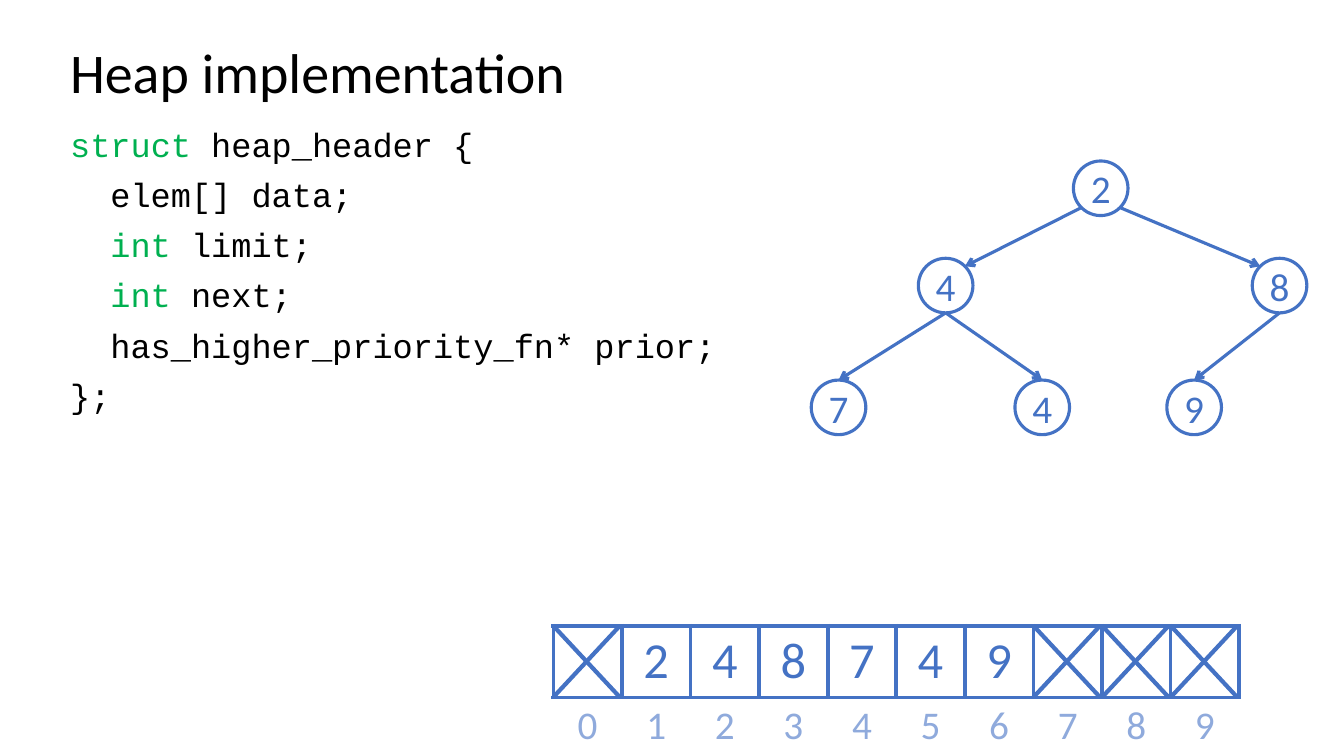
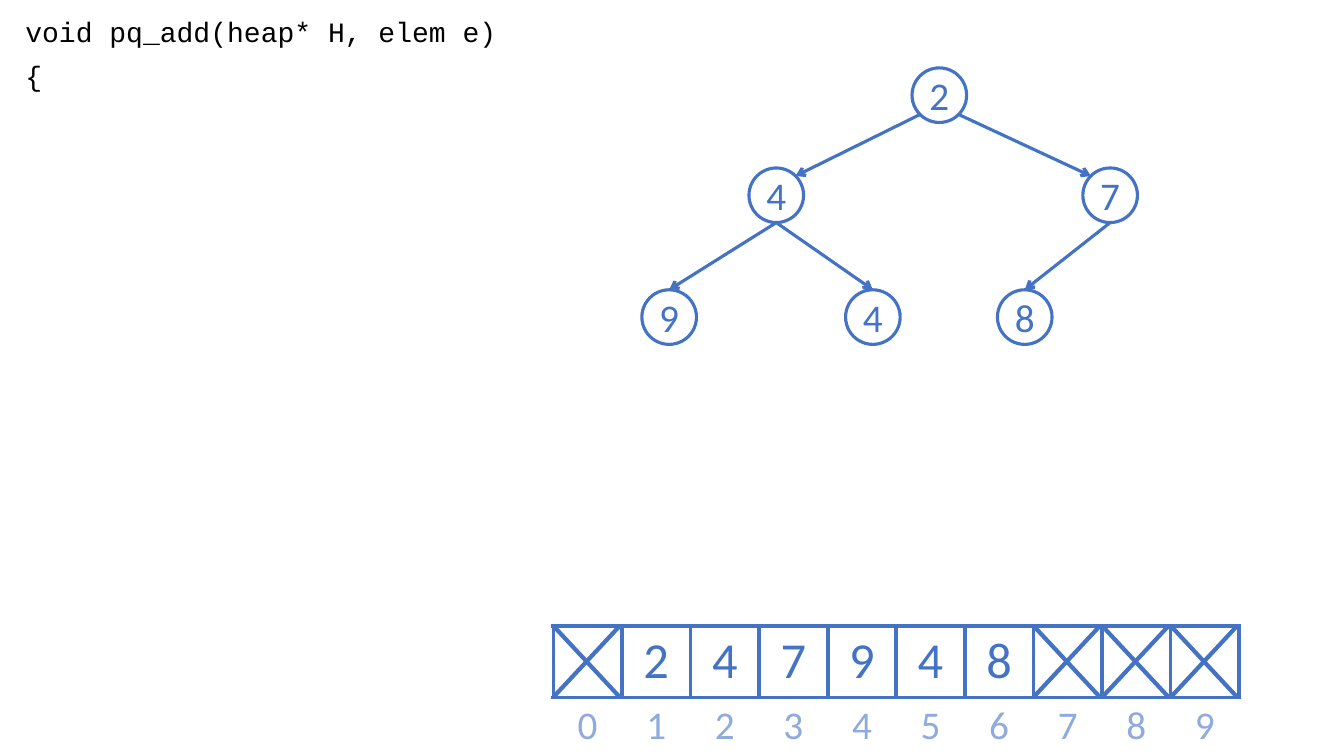
from dataclasses import dataclass
from math import sqrt
from typing import Optional

from lxml.etree import SubElement
from pptx import Presentation
from pptx.dml.color import RGBColor
from pptx.enum.shapes import MSO_CONNECTOR, MSO_SHAPE
from pptx.enum.text import MSO_ANCHOR, PP_ALIGN
from pptx.oxml import parse_xml
from pptx.oxml.ns import nsdecls, qn
from pptx.util import Pt

BLUE = RGBColor(0x44, 0x72, 0xC4)
PALE_BLUE = RGBColor(0x8F, 0xAA, 0xDC)
GREEN = RGBColor(0x00, 0xB0, 0x50)
BLACK = RGBColor(0, 0, 0)
WHITE = RGBColor(0xFF, 0xFF, 0xFF)
SANS, MONO = "Calibri", "Courier New"

KEYWORDS = ("struct", "int")
RADIUS = 19.5
DIAGONAL = RADIUS / sqrt(2)
ARRAY_X, ARRAY_Y = 395.25, 447
CELL_W, CELL_H, INDEX_H = 49, 51, 41
CAPACITY = 10
CROSS_W = CELL_W - 1.5


@dataclass(frozen=True)
class Point:
    x: float
    y: float

    def shift(self, dx: float, dy: float) -> "Point":
        return Point(self.x + dx, self.y + dy)


@dataclass(frozen=True)
class Heap:
    """Values in level order, with the centres of the root and its left child."""
    values: tuple[int, ...]
    root: Point
    left: Point

    def centres(self) -> list[Point]:
        lower = [(238.5, 0), (-76.5, 87), (69, 87), (177.5, 87)]
        return [self.root, self.left] + [self.left.shift(*d) for d in lower]


@dataclass(frozen=True)
class CodeLine:
    text: str
    level: int = 0


def add_run(p, text: str, *, size: float, font: str = SANS,
            color: RGBColor = BLACK) -> None:
    r = p.add_run()
    r.text = text
    r.font.size, r.font.name = Pt(size), font
    r.font.color.rgb = color


def add_box(s, x: float, y: float, w: float, h: float, anchor=MSO_ANCHOR.TOP):
    tf = s.shapes.add_textbox(Pt(x), Pt(y), Pt(w), Pt(h)).text_frame
    tf.word_wrap = True
    tf.vertical_anchor = anchor
    return tf


def add_title(s, text: str) -> None:
    p = add_box(s, 43, 28.75, 828, 49.75, MSO_ANCHOR.MIDDLE).paragraphs[0]
    p.line_spacing = 0.9
    add_run(p, text, size=40)


def add_code(tf, lines: list[CodeLine], size: float) -> None:
    """Set code lines, with a leading keyword in green."""
    for i, line in enumerate(lines):
        p = tf.paragraphs[0] if i == 0 else tf.add_paragraph()
        p.line_spacing, p.space_before = 0.9, Pt(10)
        # One level is two monospaced characters wide.
        p._p.get_or_add_pPr().set("marL", str(Pt(line.level * 1.2 * size)))
        word, gap, rest = line.text.partition(" ")
        if word in KEYWORDS:
            add_run(p, word, size=size, font=MONO, color=GREEN)
            add_run(p, gap + rest, size=size, font=MONO)
        else:
            add_run(p, line.text, size=size, font=MONO)


def add_line(s, start: Point, end: Point, *, width: float,
             arrow: bool = False) -> None:
    c = s.shapes.add_connector(MSO_CONNECTOR.STRAIGHT, Pt(start.x), Pt(start.y),
                               Pt(end.x), Pt(end.y))
    c.line.color.rgb, c.line.width = BLUE, Pt(width)
    if arrow:
        SubElement(c.line._get_or_add_ln(), qn("a:tailEnd"), type="arrow")
    SubElement(c._element.spPr, qn("a:effectLst"))


def add_node(s, centre: Point, value: int) -> None:
    sp = s.shapes.add_shape(MSO_SHAPE.OVAL, Pt(centre.x - RADIUS),
                            Pt(centre.y - RADIUS), Pt(2 * RADIUS), Pt(2 * RADIUS))
    sp.shadow.inherit = False
    sp.fill.solid()
    sp.fill.fore_color.rgb = WHITE
    sp.line.color.rgb, sp.line.width = BLUE, Pt(2.25)
    tf = sp.text_frame
    tf.margin_left = tf.margin_right = tf.margin_top = tf.margin_bottom = 0
    tf.vertical_anchor = MSO_ANCHOR.MIDDLE
    p = tf.paragraphs[0]
    p.alignment = PP_ALIGN.CENTER
    add_run(p, str(value), size=28, color=BLUE)


def add_tree(s, heap: Heap) -> None:
    centres = heap.centres()
    for centre, value in zip(centres, heap.values):
        add_node(s, centre, value)
    for i, child in enumerate(centres[1:], start=1):
        parent = centres[(i - 1) // 2]
        if parent == heap.root:
            dx = -DIAGONAL if child.x < parent.x else DIAGONAL
            start, end = parent.shift(dx, DIAGONAL), child.shift(-dx, -DIAGONAL)
        else:
            start, end = parent.shift(0, RADIUS), child.shift(0, -RADIUS)
        add_line(s, start, end, width=2.25, arrow=True)


def set_borders(cell, width: Optional[float]) -> None:
    """Give a cell blue borders, or none if width is None."""
    paint = ("<a:noFill/>" if width is None else
             f'<a:solidFill><a:srgbClr val="{BLUE}"/></a:solidFill>')
    tcPr = cell._tc.get_or_add_tcPr()
    for i, side in enumerate("LRTB"):
        tcPr.insert(i, parse_xml(f'<a:ln{side} {nsdecls("a")} w="{Pt(width or 0)}">'
                                 f'{paint}</a:ln{side}>'))


def add_row(s, texts: list[str], y: float, h: float, *, size: float,
            color: RGBColor, border: Optional[float] = None) -> None:
    table = s.shapes.add_table(1, CAPACITY, Pt(ARRAY_X), Pt(y),
                               Pt(CAPACITY * CELL_W), Pt(h)).table
    table.first_row = table.horz_banding = False
    for column, cell, text in zip(table.columns, table.rows[0].cells, texts):
        column.width = Pt(CELL_W)
        cell.fill.background()
        set_borders(cell, border)
        cell.vertical_anchor = MSO_ANCHOR.MIDDLE
        p = cell.text_frame.paragraphs[0]
        p.alignment = PP_ALIGN.CENTER
        if text:
            add_run(p, text, size=size, color=color)


def add_array(s, heap: Heap) -> None:
    """Draw the heap array: slot 0 and the free slots are crossed out."""
    texts = [""] + [str(v) for v in heap.values]
    texts += [""] * (CAPACITY - len(texts))
    add_row(s, texts, ARRAY_Y, CELL_H, size=36, color=BLUE, border=3)
    for i, text in enumerate(texts):
        if not text:
            corner = Point(ARRAY_X + i * CELL_W, ARRAY_Y)
            add_line(s, corner, corner.shift(CROSS_W, CELL_H), width=3)
            add_line(s, corner.shift(CROSS_W, 0), corner.shift(0, CELL_H), width=3)
    add_row(s, [str(i) for i in range(CAPACITY)], ARRAY_Y + CELL_H, INDEX_H,
            size=28, color=PALE_BLUE)


def add_heap_slide(prs, heap: Heap):
    s = prs.slides.add_slide(prs.slide_layouts[6])
    add_tree(s, heap)
    add_array(s, heap)
    return s


def main() -> None:
    prs = Presentation()
    prs.slide_width, prs.slide_height = Pt(960), Pt(540)

    s = add_heap_slide(prs, Heap((2, 4, 8, 7, 4, 9), Point(786.25, 134.5),
                                 Point(675.5, 204)))
    add_title(s, "Heap implementation")
    add_code(add_box(s, 43, 88, 828, 222), [
        CodeLine("struct heap_header {"),
        CodeLine("elem[] data;", 1),
        CodeLine("int limit;", 1),
        CodeLine("int next;", 1),
        CodeLine("has_higher_priority_fn* prior;", 1),
        CodeLine("};"),
    ], size=24)

    s = add_heap_slide(prs, Heap((2, 4, 7, 9, 4, 8), Point(671, 68),
                                 Point(554.5, 139.5)))
    add_code(add_box(s, 11, 9.5, 497, 521), [
        CodeLine("void pq_add(heap* H, elem e)"),
        CodeLine("{"),
    ], size=20)

    prs.save("out.pptx")


if __name__ == "__main__":
    main()
